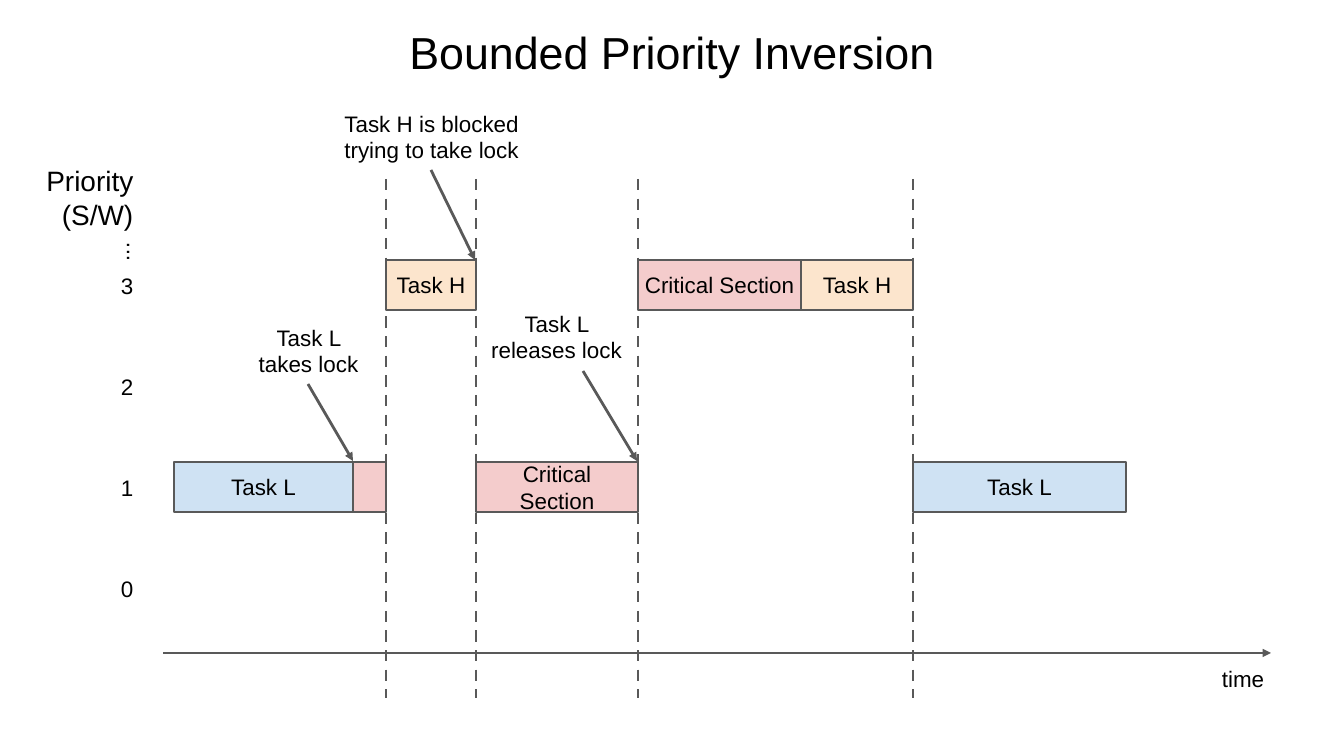
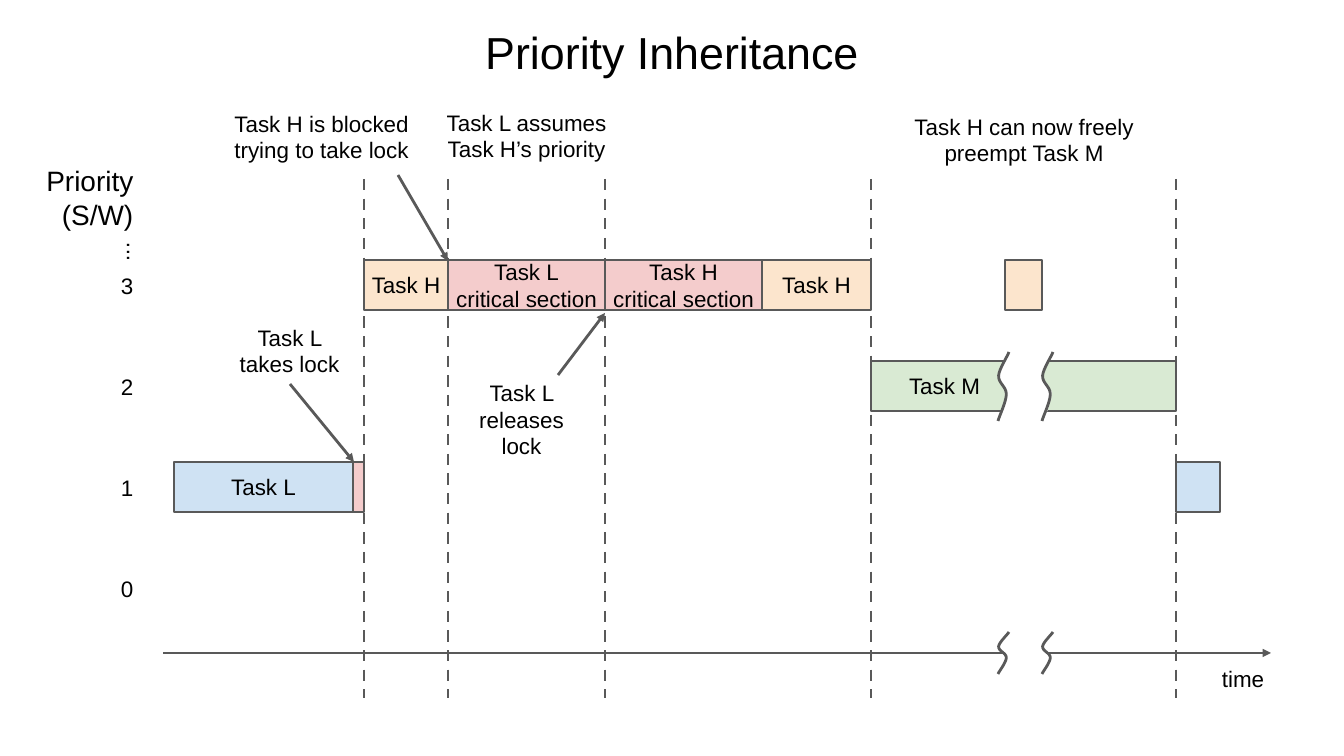
import pptx
import pptx.dml.color
import pptx.enum.dml
import pptx.enum.shapes
import pptx.enum.text
import pptx.oxml.xmlchemy
import pptx.util

SCALE = 914400 / 67.2
INK, GREY, WHITE = "000000", "595959", "FFFFFF"
BLUE, RED, TAN, GREEN = "CFE2F3", "F4CCCC", "FCE5CD", "D9EAD3"
FONT = "Arial"
ALIGN = pptx.enum.text.PP_ALIGN
ANCHOR = pptx.enum.text.MSO_ANCHOR
BOX = pptx.enum.shapes.MSO_SHAPE.RECTANGLE
STRAIGHT = pptx.enum.shapes.MSO_CONNECTOR.STRAIGHT
WAVE = [(1, 0), (0.88, 0.06), (0.12, 0.24), (0.06, 0.34), (0, 0.45),
        (0.76, 0.5), (0.76, 0.61), (0.76, 0.72), (0.12, 0.93), (0, 1)]


def px(size):
    return pptx.util.Emu(round(size * SCALE))


def color(code):
    return pptx.dml.color.RGBColor.from_string(code)


def row(level):
    return 563 - 101 * level


def curve(ends, steps=8):
    spots = [ends[0]]
    for first in range(0, len(ends) - 1, 3):
        a, b, c, d = ends[first:first + 4]
        for step in range(1, steps + 1):
            t = step / steps
            u = 1 - t
            spots.append(tuple(
                u**3 * a[i] + 3 * u * u * t * b[i] + 3 * u * t * t * c[i] + t**3 * d[i]
                for i in (0, 1)))
    return spots


class Chart:
    def __init__(self):
        self.deck = pptx.Presentation()
        self.deck.slide_width = px(1344)
        self.deck.slide_height = px(756)

    def start(self, title):
        self.slide = self.deck.slides.add_slide(self.deck.slide_layouts[5])
        self.shapes = self.slide.shapes
        head = self.shapes.title
        head.left, head.top, head.width, head.height = map(px, (346, 0, 652, 103))
        self.label(head, title, size=48)
        self.line(163, 653, 1271, 653, arrow=True)
        self.text("time", 1187, 659, 112, 39)
        self.text("Priority (S/W)", 34, 161, 106, 73, 30, ALIGN.RIGHT)
        self.text("...", 88, 221, 65, 62).rotation = 270
        for level in range(4):
            self.text(str(level), 67, row(level) - 5, 73, 62, align=ALIGN.RIGHT)

    def label(self, shape, text, size=24, align=ALIGN.CENTER, anchor=ANCHOR.MIDDLE):
        frame = shape.text_frame
        frame.text = text
        frame.word_wrap = True
        frame.auto_size = pptx.enum.text.MSO_AUTO_SIZE.NONE
        frame.vertical_anchor = anchor
        frame.margin_left = frame.margin_right = pptx.util.Inches(0.1)
        frame.margin_top = frame.margin_bottom = pptx.util.Inches(0.1)
        for par in frame.paragraphs:
            par.alignment = align
            par.font.name = FONT
            par.font.size = pptx.util.Pt(size)
            par.font.color.rgb = color(INK)

    def text(self, text, x, y, wide, high, size=24, align=ALIGN.CENTER,
             anchor=ANCHOR.MIDDLE):
        shape = self.shapes.add_textbox(px(x), px(y), px(wide), px(high))
        self.label(shape, text, size, align, anchor)
        return shape

    def note(self, text, x, y, wide, high=67):
        self.text(text, x, y, wide, high, anchor=ANCHOR.TOP)

    def paint(self, shape, fill=None, edge=None):
        shape.shadow.inherit = False
        for part, code in ((shape.fill, fill), (shape.line.fill, edge)):
            if code:
                part.solid()
                part.fore_color.rgb = color(code)
            else:
                part.background()
        if edge:
            shape.line.width = pptx.util.Pt(3)

    def task(self, level, left, right, fill, text=""):
        shape = self.shapes.add_shape(BOX, px(left), px(row(level)),
                                      px(right - left), px(50))
        self.paint(shape, fill, GREY)
        if text:
            self.label(shape, text)

    def mask(self, x, y, wide, high):
        self.paint(self.shapes.add_shape(BOX, px(x), px(y), px(wide), px(high)), WHITE)

    def free(self, spots, fill=None, edge=None):
        spots = [(px(x), px(y)) for x, y in spots]
        maker = self.shapes.build_freeform(*spots[0])
        maker.add_line_segments(spots[1:], close=bool(fill))
        self.paint(maker.convert_to_shape(), fill, edge)

    def wave(self, x, y, high):
        self.free(curve([(x + 11 * a, y + high * b) for a, b in WAVE]), edge=GREY)

    def line(self, x, y, right, low, arrow=False, dash=False):
        line = self.shapes.add_connector(STRAIGHT, px(x), px(y), px(right), px(low))
        line.line.width = pptx.util.Pt(3)
        line.line.color.rgb = color(GREY)
        if dash:
            line.line.dash_style = pptx.enum.dml.MSO_LINE.DASH
        make = pptx.oxml.xmlchemy.OxmlElement
        form = line._element.spPr
        if arrow:
            tip = make("a:tailEnd")
            tip.set("type", "triangle")
            form.ln.append(tip)
        form.append(make("a:effectLst"))

    def mark(self, x):
        self.line(x, 179, x, 698, dash=True)

    def arrow(self, x, y, right, low):
        self.line(x, y, right, low, arrow=True)


chart = Chart()

chart.start("Bounded Priority Inversion")
chart.mark(386)
chart.task(1, 174, 353, BLUE, "Task L")
chart.task(3, 386, 476, TAN, "Task H")
chart.task(1, 353, 386, RED)
chart.mark(476)
chart.task(1, 476, 638, RED, "Critical Section")
chart.mark(638)
chart.mark(913)
chart.task(1, 913, 1126, BLUE, "Task L")
chart.task(3, 638, 801, RED, "Critical Section")
chart.task(3, 801, 913, TAN, "Task H")
chart.note("Task L takes lock", 245, 317, 127)
chart.arrow(308, 384, 353, 461)
chart.note("Task H is blocked trying to take lock", 331, 103, 201)
chart.arrow(431, 170, 475, 260)
chart.note("Task L releases lock", 483, 303, 147)
chart.arrow(583, 371, 637, 461)

chart.start("Priority Inheritance")
for x in (364, 605, 1176):
    chart.mark(x)
chart.task(1, 174, 353, BLUE, "Task L")
chart.task(1, 353, 364, RED)
chart.task(1, 1176, 1220, BLUE)
chart.task(3, 364, 448, TAN, "Task H")
chart.task(3, 448, 605, RED, "Task L\ncritical section")
chart.task(3, 605, 762, RED, "Task H\ncritical section")
chart.task(3, 762, 871, TAN, "Task H")
chart.task(3, 1005, 1042, TAN)
chart.task(2, 871, 1018, GREEN, "Task M")
chart.mark(871)
chart.mark(448)
chart.task(2, 1029, 1176, GREEN)
chart.mask(1005, 346, 39, 83)
chart.mask(1003, 611, 44, 83)
for spots in (
    [(1005, 360), (999, 371), (999, 378), (1006, 390)],
    [(1050, 359), (1044, 371), (1044, 380), (1047, 385), (1052, 392),
     (1051, 399), (1048, 410), (1045, 415), (1036, 414), (1034, 360)],
    [(1001, 415), (1005, 405), (1007, 415)],
):
    chart.free(spots, WHITE)
for x in (998, 1042):
    chart.wave(x, 352, 69)
    chart.wave(x, 632, 42)
chart.note("Task L takes lock", 226, 317, 127)
chart.arrow(290, 384, 354, 462)
chart.note("Task L assumes Task H’s priority", 428, 102, 197)
chart.note("Task L releases lock", 458, 372, 127, 94)
chart.arrow(558, 375, 605, 313)
chart.note("Task H is blocked trying to take lock", 221, 103, 201)
chart.arrow(398, 175, 448, 261)
chart.note("Task H can now freely preempt Task M", 904, 106, 240)

chart.deck.save("out.pptx")
